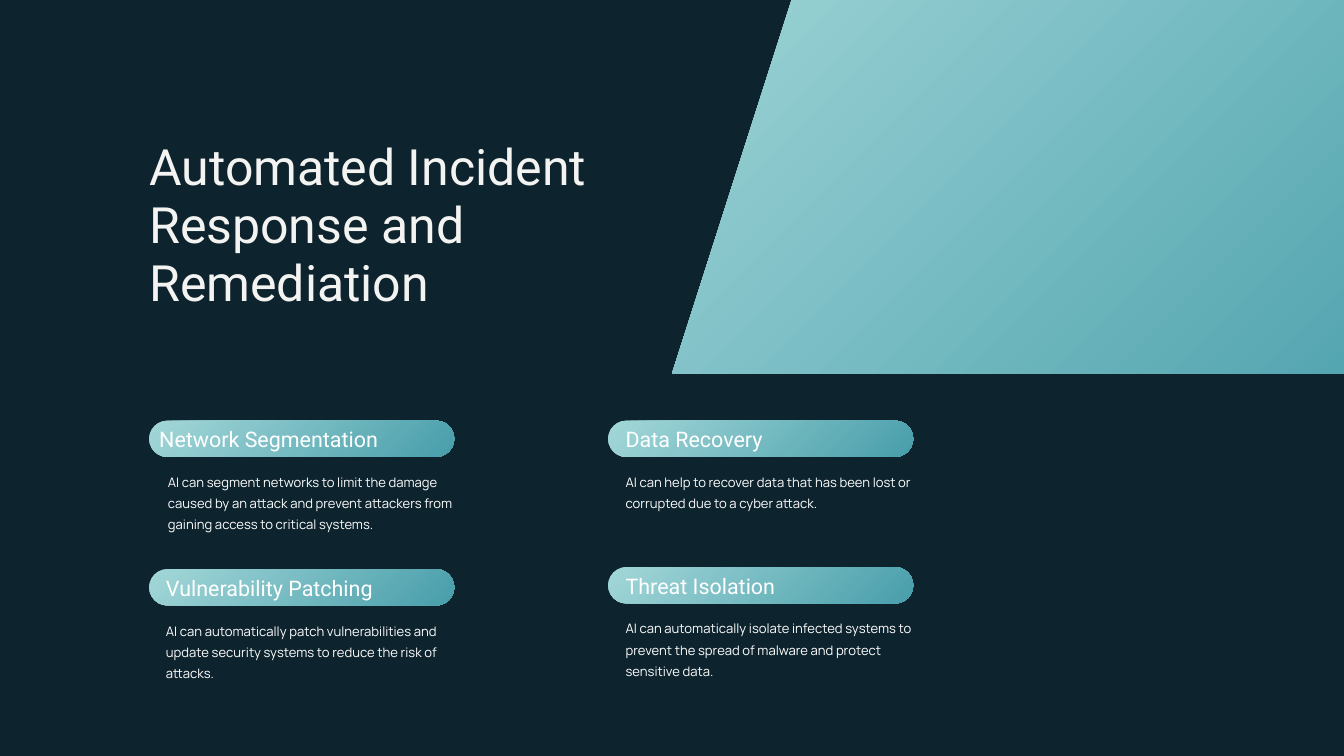
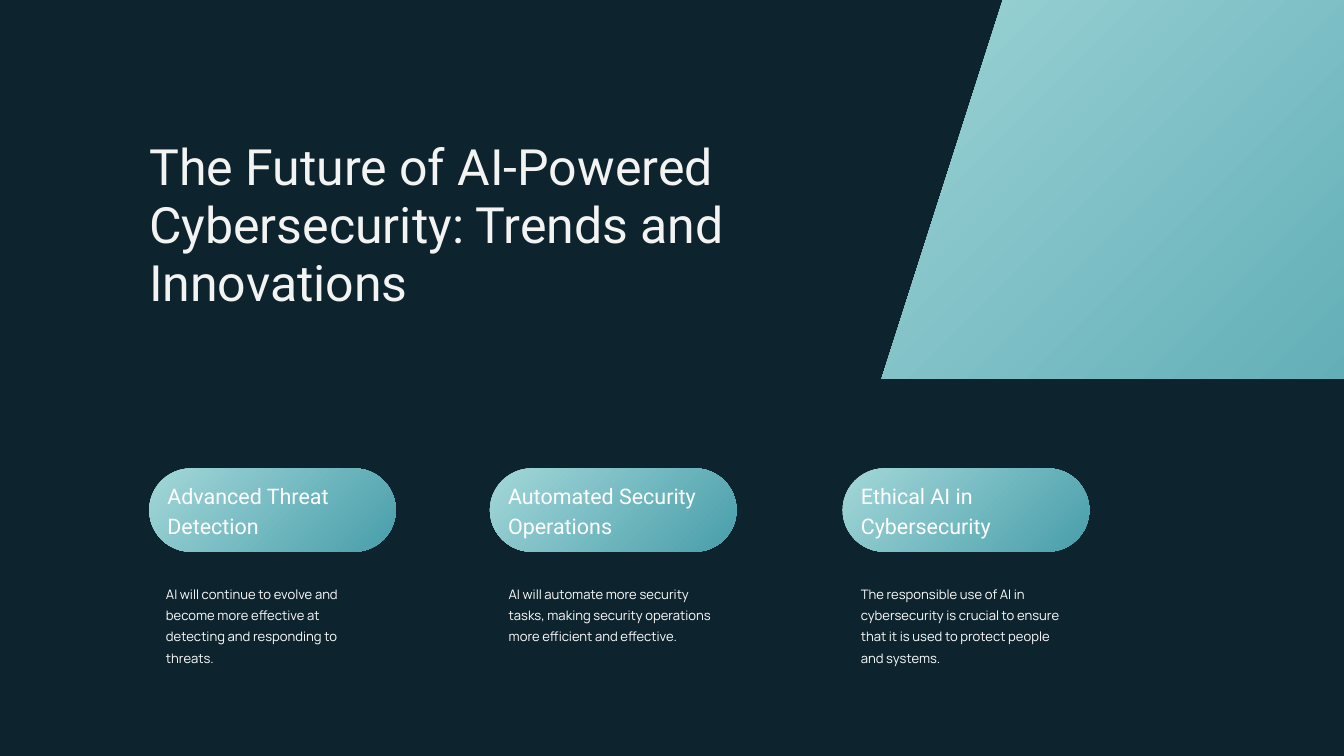
from dataclasses import dataclass

from pptx import Presentation
from pptx.dml.color import RGBColor
from pptx.enum.shapes import MSO_SHAPE
from pptx.enum.text import MSO_ANCHOR, MSO_AUTO_SIZE, PP_ALIGN
from pptx.util import Inches, Pt


@dataclass(frozen=True)
class TextStyle:
    font: str
    size: float
    leading: float
    color: RGBColor


@dataclass(frozen=True)
class Theme:
    night: RGBColor = RGBColor(0x0D, 0x23, 0x2D)
    mint: RGBColor = RGBColor(0xA3, 0xD7, 0xD8)
    teal: RGBColor = RGBColor(0x48, 0x9E, 0xAB)
    title: TextStyle = TextStyle("Roboto", 53.6, 62.1, RGBColor(0xF3, 0xF3, 0xF2))
    heading: TextStyle = TextStyle("Roboto", 23, 32.2, RGBColor(0xFF, 0xFF, 0xFF))
    body: TextStyle = TextStyle("Manrope", 14, 22.6, RGBColor(0xFF, 0xFF, 0xFF))


@dataclass(frozen=True)
class Box:
    left: float
    top: float
    width: float
    height: float

    def inner(self, dx, dy, width, height):
        return Box(self.left + dx, self.top + dy, width, height)

    def emu(self):
        return (round(self.left * COLUMN), round(self.top * ROW),
                round(self.width * COLUMN), round(self.height * ROW))


THEME = Theme()

# Square grid: 20 columns by 11.25 rows; every Box is measured in it
WIDTH, HEIGHT = Inches(20), Inches(11.25)
COLUMN, ROW = WIDTH / 20, HEIGHT / 11.25
MARGIN = 2.22
TITLE_BOX = Box(MARGIN, 2.05, 8.6, 2.58)


def write(holder, text, style):
    frame = holder.text_frame
    frame.word_wrap = True
    frame.auto_size = MSO_AUTO_SIZE.SHAPE_TO_FIT_TEXT
    frame.vertical_anchor = MSO_ANCHOR.TOP
    frame.margin_left = frame.margin_right = 0
    frame.margin_top = frame.margin_bottom = 0
    paragraph = frame.paragraphs[0]
    paragraph.alignment = PP_ALIGN.LEFT
    paragraph.line_spacing = Pt(style.leading)
    run = paragraph.add_run()
    run.text = text
    run.font.name = style.font
    run.font.size = Pt(style.size)
    run.font.color.rgb = style.color


def add_text(slide, box, text, style):
    write(slide.shapes.add_textbox(*box.emu()), text, style)


def add_gradient_shape(slide, kind, box, adjustment):
    shape = slide.shapes.add_shape(kind, *box.emu())
    shape.adjustments[0] = adjustment
    shape.shadow.inherit = False
    shape.line.fill.background()
    shape.fill.gradient()
    shape.fill.gradient_angle = 315
    for stop, color in zip(shape.fill.gradient_stops, (THEME.mint, THEME.teal)):
        stop.color.rgb = color


def add_titled_slide(prs, title, band_left, band_top):
    """Title at the left, slanted band bleeding off the top right corner."""
    slide = prs.slides.add_slide(prs.slide_layouts[5])
    band = Box(band_left, band_top, 12.65, 7.04)
    add_gradient_shape(slide, MSO_SHAPE.PARALLELOGRAM, band, 0.32)
    heading = slide.shapes.title
    heading.left, heading.top, heading.width, heading.height = TITLE_BOX.emu()
    write(heading, title, THEME.title)
    return slide


def add_card(slide, pill, heading_box, body_box, heading, body):
    add_gradient_shape(slide, MSO_SHAPE.ROUNDED_RECTANGLE, pill, 0.5)
    add_text(slide, heading_box, heading, THEME.heading)
    add_text(slide, body_box, body, THEME.body)


def incident_response_slide(prs):
    slide = add_titled_slide(
        prs, "Automated Incident Response and Remediation", 10, -1.48)
    # Each column: left, row pitch, heading width, body width, then its cards
    # as heading indent, body indent, heading and body
    columns = [
        (MARGIN, 2.21, 3.84, 4.6, [
            (0.15, 0.28, "Network Segmentation",
             "AI can segment networks to limit the damage caused by an attack "
             "and prevent attackers from gaining access to critical systems."),
            (0.25, 0.25, "Vulnerability Patching",
             "AI can automatically patch vulnerabilities and update security "
             "systems to reduce the risk of attacks."),
        ]),
        (9.05, 2.18, 3.12, 4.28, [
            (0.26, 0.26, "Data Recovery",
             "AI can help to recover data that has been lost or corrupted "
             "due to a cyber attack."),
            (0.26, 0.26, "Threat Isolation",
             "AI can automatically isolate infected systems to prevent the "
             "spread of malware and protect sensitive data."),
        ]),
    ]
    for left, pitch, heading_width, body_width, cards in columns:
        for row, (heading_dx, body_dx, heading, body) in enumerate(cards):
            pill = Box(left, 6.26 + row * pitch, 4.54, 0.54)
            add_card(slide, pill,
                     pill.inner(heading_dx, 0.02, heading_width, 0.44),
                     pill.inner(body_dx, 0.72, body_width, 0.94),
                     heading, body)


def future_trends_slide(prs):
    slide = add_titled_slide(
        prs, "The Future of AI-Powered Cybersecurity: Trends and Innovations",
        13.12, -1.41)
    # Pill left, body indent, heading, body
    trends = [
        (MARGIN, 0.25, "Advanced Threat Detection",
         "AI will continue to evolve and become more effective at detecting "
         "and responding to threats."),
        (7.29, 0.28, "Automated Security Operations",
         "AI will automate more security tasks, making security operations "
         "more efficient and effective."),
        (12.54, 0.27, "Ethical AI in Cybersecurity",
         "The responsible use of AI in cybersecurity is crucial to ensure "
         "that it is used to protect people and systems."),
    ]
    for left, body_dx, heading, body in trends:
        pill = Box(left, 6.97, 3.67, 1.24)
        add_card(slide, pill,
                 pill.inner(0.27, 0.15, 3.12, 0.87),
                 pill.inner(body_dx, 1.68, 3.12, 1.25),
                 heading, body)


def main():
    prs = Presentation()
    prs.slide_width, prs.slide_height = WIDTH, HEIGHT
    backdrop = prs.slide_master.background.fill
    backdrop.solid()
    backdrop.fore_color.rgb = THEME.night
    incident_response_slide(prs)
    future_trends_slide(prs)
    prs.save("out.pptx")


if __name__ == "__main__":
    main()
